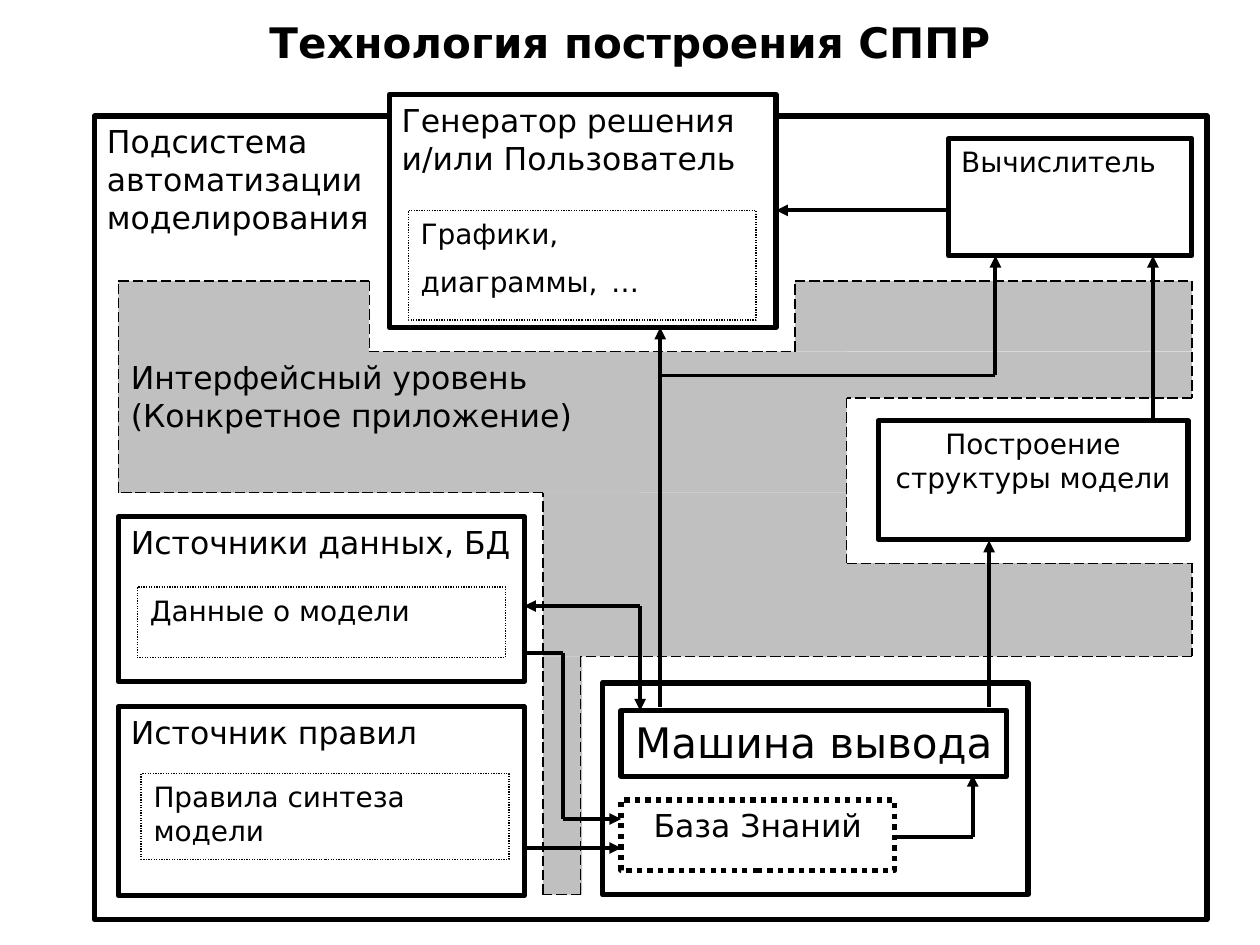
from itertools import pairwise

from pptx import Presentation
from pptx import util as u
from pptx.dml.color import RGBColor
from pptx.enum import dml, shapes, text
from pptx.oxml.xmlchemy import OxmlElement

BLACK, WHITE, GRAY = "000000", "FFFFFF", "C0C0C0"
LEFT, CENTER = text.PP_ALIGN.LEFT, text.PP_ALIGN.CENTER
DOTTED = dml.MSO_LINE.ROUND_DOT  # stored as sysDot
DASHED = dml.MSO_LINE.LONG_DASH


def color(value):
    return RGBColor.from_string(value)


class Diagram:
    font = "DejaVu Sans"

    def __init__(self, slide):
        self.slide = slide

    def style_line(self, line, width, dash=None):
        line.color.rgb = color(BLACK)
        line.width = u.Pt(width)
        if dash is not None:
            line.dash_style = dash

    def add_text(self, shape, paragraphs, align=LEFT, bold=False, anchor=text.MSO_ANCHOR.TOP):
        """Each paragraph is a list of (words, size) runs."""
        frame = shape.text_frame
        frame.word_wrap = True
        frame.vertical_anchor = anchor
        for index, runs in enumerate(paragraphs):
            paragraph = frame.paragraphs[0] if index == 0 else frame.add_paragraph()
            paragraph.alignment = align
            for words, size in runs:
                run = paragraph.add_run()
                run.text = words
                run.font.name = self.font
                run.font.size = u.Pt(size)
                run.font.bold = bold
                run.font.color.rgb = color(BLACK)

    def title(self, bounds, words):
        box = self.slide.shapes.add_textbox(*map(u.Inches, bounds))
        self.add_text(box, [[(words, 24)]], CENTER, True, text.MSO_ANCHOR.MIDDLE)

    def box(self, bounds, paragraphs=(), align=LEFT, fill=WHITE, width=3, dash=None):
        shape = self.slide.shapes.add_shape(
            shapes.MSO_SHAPE.RECTANGLE, *map(u.Inches, bounds))
        shape.shadow.inherit = False
        shape.fill.solid()
        shape.fill.fore_color.rgb = color(fill)
        if width:
            self.style_line(shape.line, width, dash)
        else:
            shape.line.fill.background()
        self.add_text(shape, paragraphs, align)

    def dotted_box(self, bounds, runs):
        self.box(bounds, [runs], width=0.75, dash=DOTTED)

    def gray_area(self, bounds, paragraphs=()):
        self.box(bounds, paragraphs, fill=GRAY, width=0)

    def route(self, points, width=2.25, dash=None, arrow=True):
        """Join the points with straight lines; the last one may carry an arrowhead."""
        for start, end in pairwise(points):
            connector = self.slide.shapes.add_connector(
                shapes.MSO_CONNECTOR.STRAIGHT, *map(u.Inches, start + end))
            self.style_line(connector.line, width, dash)
            connector._element.spPr.append(OxmlElement("a:effectLst"))
        if arrow:
            tail = OxmlElement("a:tailEnd")
            tail.set("type", "triangle")
            connector.line._get_or_add_ln().append(tail)


def main():
    presentation = Presentation()
    presentation.slide_width = u.Inches(10)
    presentation.slide_height = u.Inches(7.5)
    diagram = Diagram(presentation.slides.add_slide(presentation.slide_layouts[6]))

    # Title and outer frame
    diagram.title((0.75, 0, 8.5, 0.67), "Технология построения СППР")
    diagram.box((0.75, 0.92, 8.83, 6.38), [
        [(words, 18)] for words in ("Подсистема", "автоматизации", "моделирования")])

    # Interface level: gray area
    for bounds in (
        (5.54, 4.47, 3.92, 0.74),
        (4.31, 5.21, 0.31, 1.89),
        (0.94, 2.23, 1.99, 1.68),
        (2.93, 2.79, 3.79, 1.12),
        (5.54, 2.79, 3.92, 0.37),
        (6.31, 2.23, 3.15, 0.56),
        (4.31, 3.91, 2.41, 1.3),
    ):
        diagram.gray_area(bounds)
    diagram.gray_area((0.94, 2.79, 4.14, 1.12),
                      [[("Интерфейсный уровень (Конкретное приложение)", 18)]])

    # Interface level: dashed outline
    diagram.route([
        (4.31, 7.1), (4.31, 3.91), (0.94, 3.91), (0.94, 2.23), (2.93, 2.23),
        (2.93, 2.79), (6.31, 2.79), (6.31, 2.23), (9.46, 2.23), (9.46, 3.16),
        (6.72, 3.16), (6.72, 4.47), (9.46, 4.47), (9.46, 5.21), (4.61, 5.21),
        (4.61, 7.1), (4.31, 7.1),
    ], width=0.75, dash=DASHED, arrow=False)

    # Sources of rules and data
    diagram.box((0.94, 5.61, 3.22, 1.5), [[("Источник правил", 18)]])
    diagram.dotted_box((1.12, 6.14, 2.92, 0.68), [("Правила синтеза модели", 16)])
    diagram.box((0.94, 4.1, 3.22, 1.31), [[("Источники данных, БД", 18)]])
    diagram.dotted_box((1.09, 4.66, 2.92, 0.56), [("Данные о модели", 16)])

    # Inference engine and knowledge base
    diagram.box((4.78, 5.42, 3.38, 1.68))
    diagram.box((4.93, 5.64, 3.06, 0.52), [[("Машина вывода", 24)]], CENTER)
    diagram.box((4.93, 6.35, 2.17, 0.56), [[("База Знаний", 18)]], CENTER, dash=DOTTED)

    # Model structure, calculator, decision generator
    diagram.box((6.97, 3.34, 2.46, 0.94), [[("Построение структуры модели", 16)]], CENTER)
    diagram.box((7.53, 1.1, 1.93, 0.93), [[("Вычислитель", 16)]])
    diagram.box((3.09, 0.75, 3.07, 1.85), [[("Генератор решения и/или Пользователь", 18)]])
    diagram.dotted_box((3.24, 1.67, 2.76, 0.87),
                       [("Графики, диаграммы,", 16), (" ", 24), ("…", 16)])

    # Arrows
    for points in (
        [(4.16, 6.73), (4.93, 6.73)],                              # rules to knowledge
        [(4.16, 5.18), (4.47, 5.18), (4.47, 6.5), (4.93, 6.5)],    # data to knowledge
        [(7.1, 6.64), (7.72, 6.64), (7.72, 6.15)],                 # knowledge to engine
        [(5.08, 4.81), (4.16, 4.81)],                              # engine to data
        [(5.08, 4.81), (5.08, 5.64)],                              # data to engine
        [(5.24, 5.61), (5.24, 2.6)],                               # engine to generator
        [(5.24, 2.98), (7.9, 2.98), (7.9, 2.03)],                  # engine to calculator
        [(7.85, 5.61), (7.85, 4.29)],                              # engine to structure
        [(9.15, 3.35), (9.15, 2.03)],                              # structure to calculator
        [(7.53, 1.67), (6.16, 1.67)],                              # calculator to generator
    ):
        diagram.route(points)

    presentation.save("out.pptx")


if __name__ == "__main__":
    main()
